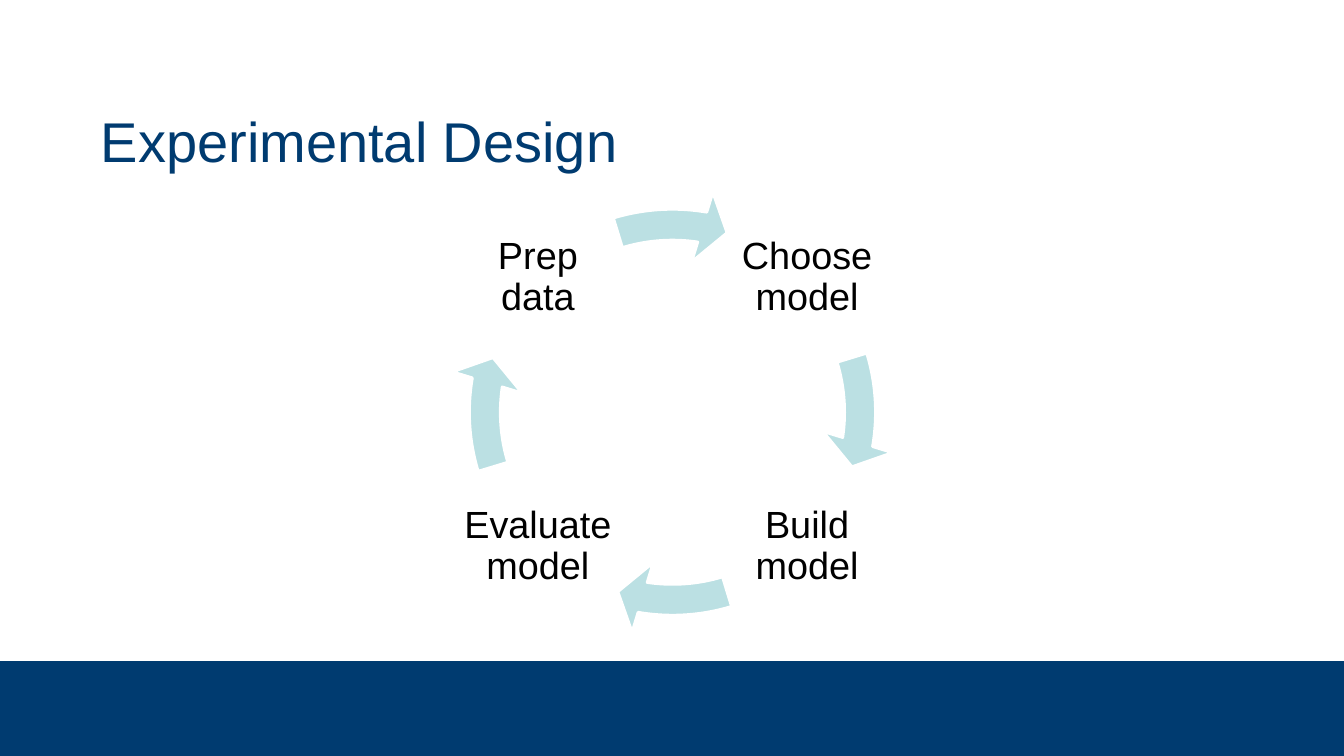
from dataclasses import dataclass

from pptx import Presentation
from pptx.dml.color import RGBColor
from pptx.enum.shapes import MSO_SHAPE as SHAPE
from pptx.enum.text import MSO_ANCHOR as ANCHOR, PP_ALIGN as ALIGN
from pptx.util import Inches, Pt


@dataclass(frozen=True)
class Theme:
    font: str = "Arial"
    navy: RGBColor = RGBColor(0x00, 0x3B, 0x70)
    arrow: RGBColor = RGBColor(0xBB, 0xE0, 0xE3)
    white: RGBColor = RGBColor(0xFF, 0xFF, 0xFF)
    black: RGBColor = RGBColor(0x00, 0x00, 0x00)
    title_size: int = 40
    step_size: int = 27


# Cycle geometry: the slide units are inches
RING_LEFT, RING_TOP, RING_SIZE = 4.45, 1.87, 4.44
STEP_SIZE, STEP_INSET, STEP_PITCH = 1.57, 0.1, 2.67

# Angles of the circular arrow are adjustment units: 216 make a full turn
FULL_TURN = 216
QUARTER = FULL_TURN / 4
THICKNESS, HEAD_ANGLE, ARROW_END, ARROW_START, HEAD_WIDTH = (
    0.069, 4.654, 5.491, 205.855, 0.081)

# Clockwise from the top right: label, column, row
STEPS = [
    ("Choose model", 1, 0),
    ("Build model", 1, 1),
    ("Evaluate model", 0, 1),
    ("Prep data", 0, 0),
]


class SlideBuilder:
    def __init__(self, prs, theme):
        self.theme = theme
        self.slide = prs.slides.add_slide(prs.slide_layouts[5])

    def add_text(self, sp, text, size, color, spacing, inset=0,
                 align=ALIGN.LEFT):
        tf = sp.text_frame
        tf.word_wrap = True
        tf.vertical_anchor = ANCHOR.MIDDLE
        tf.margin_left = tf.margin_right = Inches(inset)
        tf.margin_top = tf.margin_bottom = Inches(inset)
        p = tf.paragraphs[0]
        p.alignment = align
        p.line_spacing = spacing
        r = p.add_run()
        r.text = text
        r.font.name = self.theme.font
        r.font.size = Pt(size)
        r.font.color.rgb = color

    def title(self, text):
        sp = self.slide.shapes.title
        sp.left, sp.top = Inches(1), Inches(0.75)
        sp.width, sp.height = Inches(11.33), Inches(1.25)
        self.add_text(sp, text, self.theme.title_size, self.theme.navy, 1.05)

    def shape(self, shapes, kind, left, top, width, height, fill):
        sp = shapes.add_shape(kind, Inches(left), Inches(top),
                              Inches(width), Inches(height))
        sp.shadow.inherit = False
        sp.fill.solid()
        sp.fill.fore_color.rgb = fill
        sp.line.fill.background()
        return sp

    def footer_band(self):
        self.shape(self.slide.shapes, SHAPE.RECTANGLE,
                   0, 6.56, 13.33, 0.94, self.theme.navy)

    def step(self, shapes, text, column, row):
        sp = shapes.add_textbox(
            Inches(RING_LEFT + STEP_INSET + column * STEP_PITCH),
            Inches(RING_TOP + STEP_INSET + row * STEP_PITCH),
            Inches(STEP_SIZE), Inches(STEP_SIZE))
        self.add_text(sp, text, self.theme.step_size, self.theme.black, 0.9,
                      inset=0.04, align=ALIGN.CENTER)

    def cycle_arrow(self, shapes, index):
        sp = self.shape(shapes, SHAPE.CIRCULAR_ARROW, RING_LEFT, RING_TOP,
                        RING_SIZE, RING_SIZE, self.theme.arrow)
        sp.line.color.rgb = self.theme.white
        sp.line.width = Pt(2)
        turn = index * QUARTER
        values = (THICKNESS, HEAD_ANGLE, ARROW_END + turn,
                  (ARROW_START + turn) % FULL_TURN, HEAD_WIDTH)
        for i, value in enumerate(values):
            sp.adjustments[i] = value

    def cycle(self, steps):
        shapes = self.slide.shapes.add_group_shape().shapes
        for i, (text, column, row) in enumerate(steps):
            self.step(shapes, text, column, row)
            self.cycle_arrow(shapes, i)


def main():
    prs = Presentation()
    prs.slide_width, prs.slide_height = Inches(13.33), Inches(7.5)
    builder = SlideBuilder(prs, Theme())
    builder.footer_band()
    builder.title("Experimental Design")
    builder.cycle(STEPS)
    prs.save("out.pptx")


if __name__ == "__main__":
    main()
